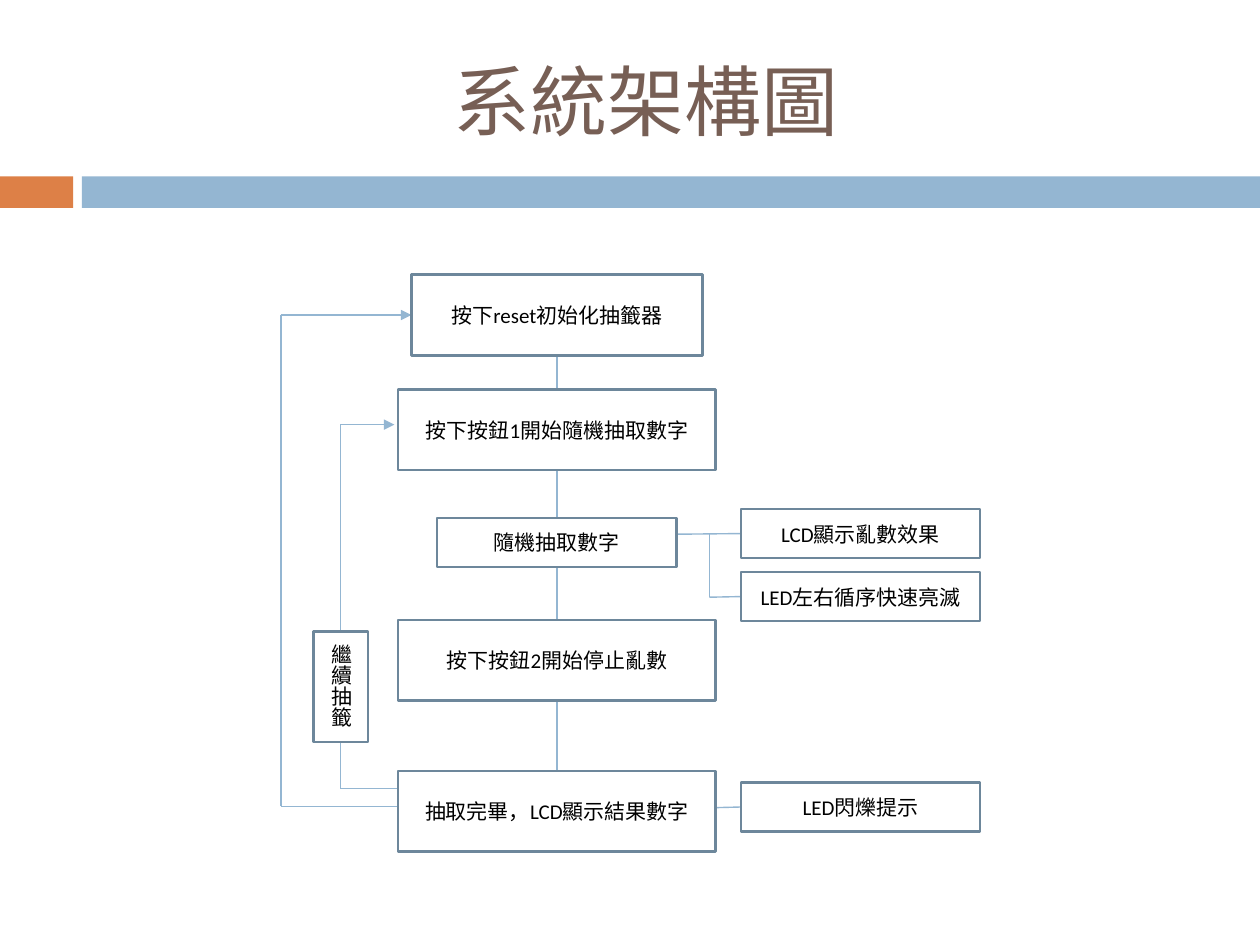
import dataclasses

import pptx
import pptx.dml.color
import pptx.enum.shapes
import pptx.enum.text
import pptx.oxml.ns
import pptx.util
from lxml import etree

Inches = pptx.util.Inches
Pt = pptx.util.Pt
qn = pptx.oxml.ns.qn


@dataclasses.dataclass(frozen=True)
class Theme:
    title_color: str = "775F55"
    orange: str = "DD8047"
    blue: str = "94B6D2"
    border: str = "6D879B"
    white: str = "FFFFFF"
    black: str = "000000"
    title_size: float = 44
    body_size: float = 12
    border_width: float = 1.5
    line_width: float = 0.79
    latin_font: str = "Calibri"
    cjk_font: str = "Noto Sans CJK SC"


THEME = Theme()
AXIS = 4.42  # shared centre of the main steps
STEP_HEIGHT = 0.64
SMALL_SIZE = (1.9, 0.39)
EFFECT_LEFT = 5.88

# name: (text, width, height, top)
STEPS = {
    "reset": ("按下reset初始化抽籤器", 2.31, STEP_HEIGHT, 2.18),
    "start": ("按下按鈕1開始隨機抽取數字", 2.52, STEP_HEIGHT, 3.09),
    "draw": ("隨機抽取數字", *SMALL_SIZE, 4.11),
    "stop": ("按下按鈕2開始停止亂數", 2.52, STEP_HEIGHT, 4.92),
    "result": ("抽取完畢，LCD顯示結果數字", 2.52, STEP_HEIGHT, 6.12),
}
# name: (text, top)
EFFECTS = {
    "shuffle": ("LCD顯示亂數效果", 4.04),
    "chase": ("LED左右循序快速亮滅", 4.54),
    "flash": ("LED閃爍提示", 6.21),
}


def rgb(color):
    return pptx.dml.color.RGBColor.from_string(color)


def write_text(box, text, *, size=THEME.body_size, color=THEME.black,
               font=THEME.latin_font, vertical=False):
    frame = box.text_frame
    frame.word_wrap = True
    frame.vertical_anchor = pptx.enum.text.MSO_ANCHOR.MIDDLE
    if vertical:
        frame._txBody.bodyPr.set("vert", "eaVert")
    para = frame.paragraphs[0]
    para.alignment = pptx.enum.text.PP_ALIGN.CENTER
    span = para.add_run()
    span.text = text
    span.font.size = Pt(size)
    span.font.name = font
    span.font.color.rgb = rgb(color)
    east_asian = etree.SubElement(span.font._element, qn("a:ea"))
    east_asian.set("typeface", THEME.cjk_font)


def add_rectangle(page, left, top, width, height, *, fill, border=None):
    box = page.shapes.add_shape(
        pptx.enum.shapes.MSO_SHAPE.RECTANGLE,
        Inches(left), Inches(top), Inches(width), Inches(height))
    box.shadow.inherit = False
    box.fill.solid()
    box.fill.fore_color.rgb = rgb(fill)
    if border:
        box.line.color.rgb = rgb(border)
        box.line.width = Pt(THEME.border_width)
    else:
        box.line.fill.background()
    return box


def add_node(page, text, left, top, width, height, **text_format):
    box = add_rectangle(page, left, top, width, height,
                        fill=THEME.white, border=THEME.border)
    write_text(box, text, **text_format)
    return box


def add_line(page, start, end, *, arrow=False):
    line = page.shapes.add_connector(
        pptx.enum.shapes.MSO_CONNECTOR.STRAIGHT,
        *(Inches(value) for value in (*start, *end)))
    line.line.color.rgb = rgb(THEME.blue)
    line.line.width = Pt(THEME.line_width)
    if arrow:
        tail = etree.SubElement(line.line._get_or_add_ln(), qn("a:tailEnd"))
        tail.set("type", "triangle")
    etree.SubElement(line._element.spPr, qn("a:effectLst"))
    return line


def add_return_path(page, rail, top, bottom, box_left, arrow_end):
    """Run from a box leftwards, up the rail and back right; return the arrow."""
    add_line(page, (box_left, bottom), (rail, bottom))
    add_line(page, (rail, top), (rail, bottom))
    return add_line(page, (rail, top), (arrow_end, top), arrow=True)


def add_header(page):
    add_rectangle(page, 0, 1.4, 0.58, 0.25, fill=THEME.orange)
    add_rectangle(page, 0.65, 1.4, 9.35, 0.25, fill=THEME.blue)
    title = page.shapes.add_textbox(
        Inches(0.67), Inches(0.25), Inches(8.92), Inches(1.08))
    write_text(title, "系統架構圖", size=THEME.title_size,
               color=THEME.title_color, font=THEME.cjk_font)


def add_flowchart(page):
    # Lines come first so that they lie behind the boxes.
    add_return_path(page, 2.7, 3.37, 6.26, 3.16, 3.13)
    restart = add_return_path(page, 2.23, 2.5, 6.4, 3.16, 3.27)
    spine = add_line(page, (AXIS, 2.82), (AXIS, 6.12))
    to_shuffle = add_line(page, (5.37, 4.24), (EFFECT_LEFT, 4.24))
    add_line(page, (5.63, 4.24), (5.63, 4.74))
    to_chase = add_line(page, (5.63, 4.74), (EFFECT_LEFT, 4.74))
    to_flash = add_line(page, (5.68, 6.41), (EFFECT_LEFT, 6.41))

    steps = {
        name: add_node(page, text, AXIS - width / 2, top, width, height)
        for name, (text, width, height, top) in STEPS.items()
    }
    effects = {
        name: add_node(page, text, EFFECT_LEFT, top, *SMALL_SIZE)
        for name, (text, top) in EFFECTS.items()
    }
    add_node(page, "繼續抽籤", 2.49, 5.01, 0.43, 0.88, vertical=True)

    spine.begin_connect(steps["reset"], 2)
    spine.end_connect(steps["result"], 0)
    restart.end_connect(steps["reset"], 1)
    to_shuffle.end_connect(effects["shuffle"], 1)
    to_chase.end_connect(effects["chase"], 1)
    to_flash.end_connect(effects["flash"], 1)


def main():
    deck = pptx.Presentation()
    deck.slide_width = Inches(10)
    deck.slide_height = Inches(7.5)
    page = deck.slides.add_slide(deck.slide_layouts[6])
    add_header(page)
    add_flowchart(page)
    deck.save("out.pptx")


if __name__ == "__main__":
    main()
